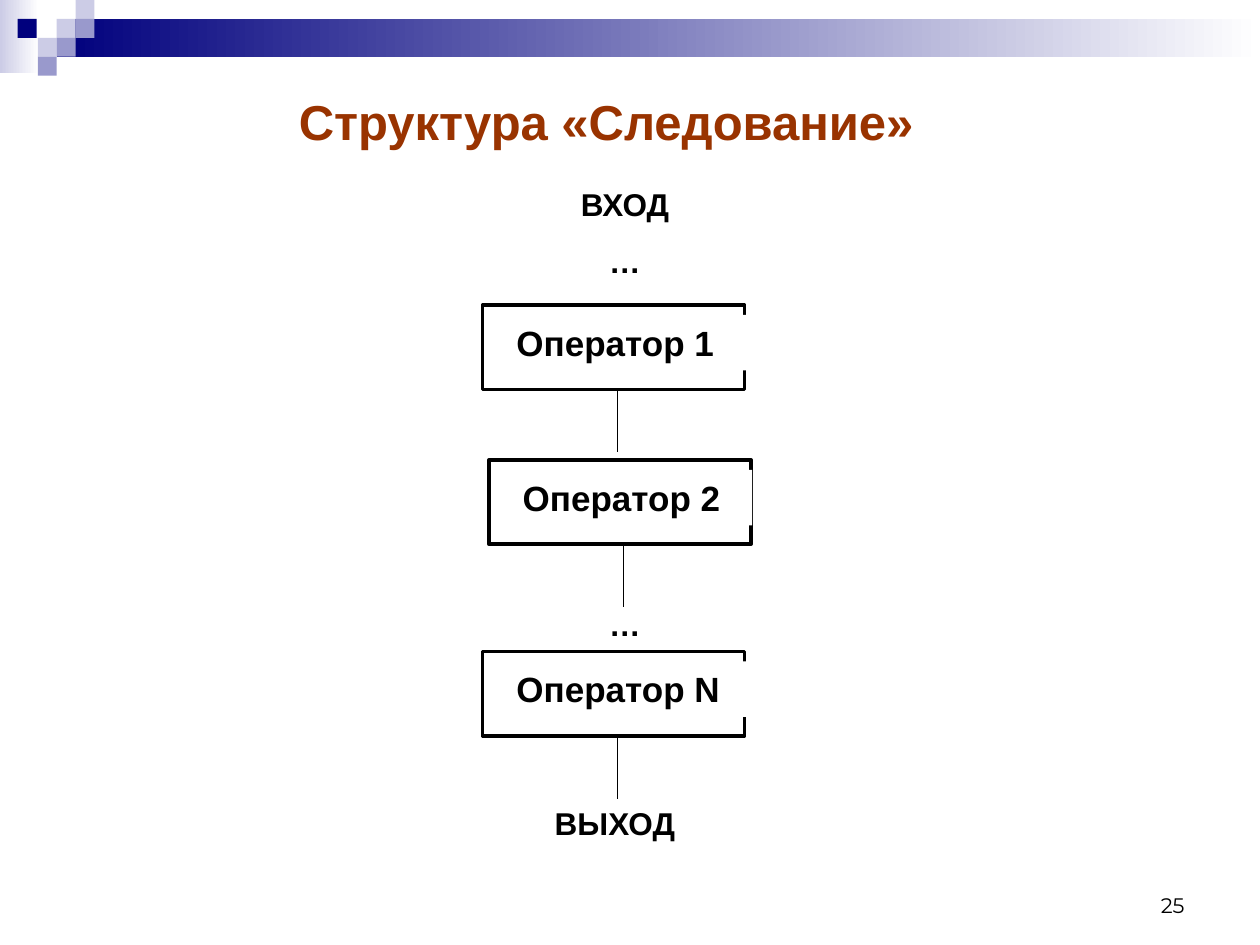
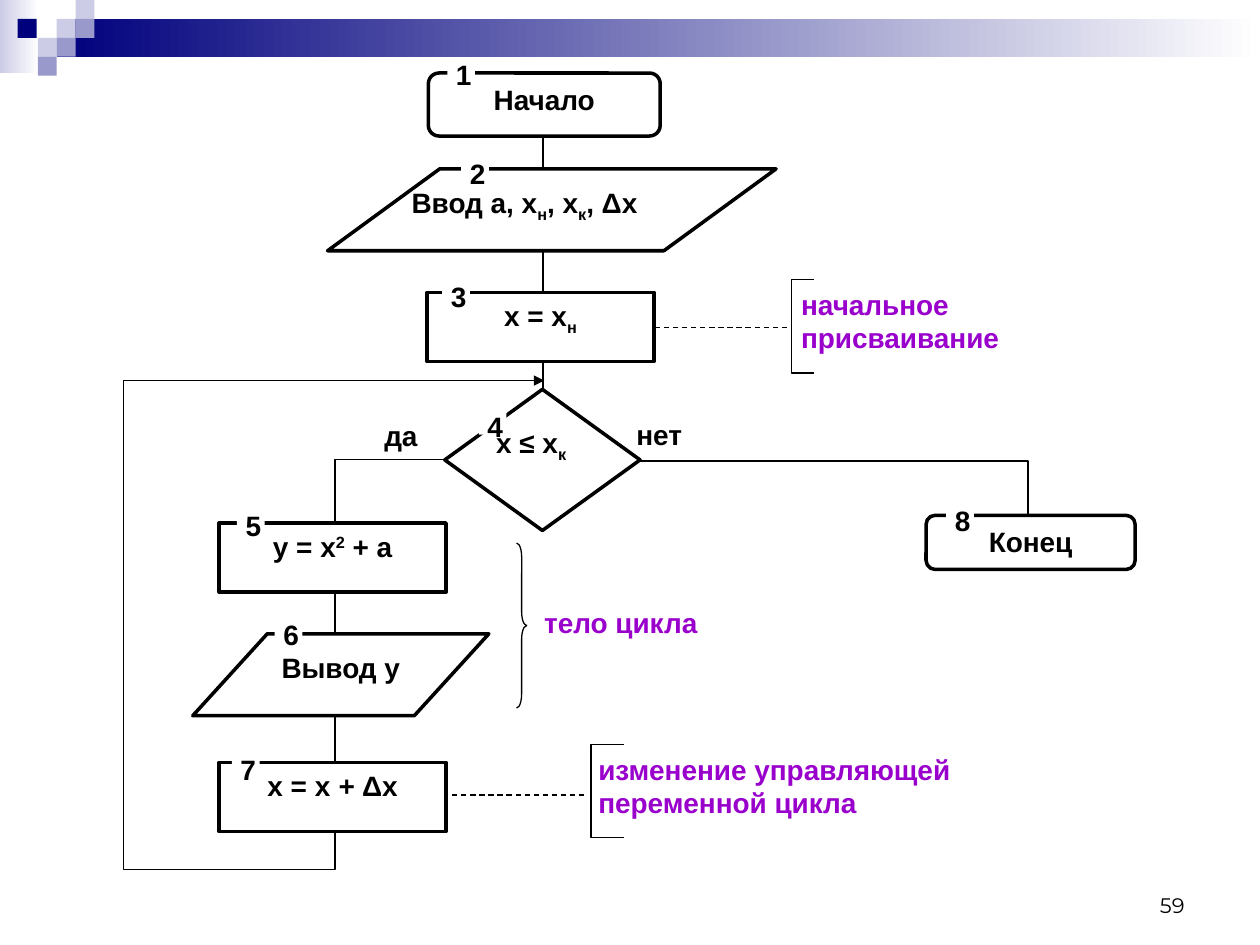
import pptx
import pptx.util
import pptx.dml.color
import pptx.enum.dml
import pptx.enum.shapes
import pptx.enum.text
import pptx.oxml
import pptx.oxml.ns

Inches = pptx.util.Inches
Pt = pptx.util.Pt
Shape = pptx.enum.shapes.MSO_SHAPE
Align = pptx.enum.text.PP_ALIGN
Anchor = pptx.enum.text.MSO_ANCHOR

tints = {
    "ink": "000000", "paper": "FFFFFF", "navy": "00007D", "mid": "9999CC",
    "pale": "CCCCE6", "title": "993300", "note": "9900CC",
}
rgb = {name: pptx.dml.color.RGBColor.from_string(code) for name, code in tints.items()}
wide = (0.1, 0.05, 0.1, 0.05)
slim = (0.02, 0.01, 0.02, 0.01)
flat = (0, 0.01, 0, 0.01)
low = {"baseline": "-25000"}
high = {"baseline": "30000"}


def block(slide, kind, place, lines=(), size=16, tint="ink", align=Align.CENTER,
          inset=wide, fill="paper", edge=False, adjust=None, anchor=Anchor.TOP,
          face="Arial", bold=True, gap=0, after=0):
    spot = [Inches(v) for v in place]
    if kind is None:
        shape = slide.shapes.add_textbox(*spot)
    else:
        shape = slide.shapes.add_shape(kind, *spot)
        shape.shadow.inherit = False
        if fill is None:
            shape.fill.background()
        elif isinstance(fill, tuple):
            shape.fill.gradient()
            shape.fill.gradient_angle = 0
            for stop, name in zip(shape.fill.gradient_stops, fill):
                stop.color.rgb = rgb[name]
        else:
            shape.fill.solid()
            shape.fill.fore_color.rgb = rgb[fill]
        if edge:
            shape.line.color.rgb = rgb["ink"]
            shape.line.width = Pt(edge)
        else:
            shape.line.fill.background()
        for i, value in enumerate(adjust or ()):
            shape.adjustments[i] = value
    if not lines:
        return
    frame = shape.text_frame
    frame.word_wrap = True
    frame.vertical_anchor = anchor
    frame.margin_left, frame.margin_top, frame.margin_right, frame.margin_bottom = map(Inches, inset)
    for i, line in enumerate(lines):
        para = frame.add_paragraph() if i else frame.paragraphs[0]
        for piece in [line] if isinstance(line, str) else line:
            words, marks = (piece, {}) if isinstance(piece, str) else piece
            run = para.add_run()
            run.text = words
            for key, value in marks.items():
                run._r.get_or_add_rPr().set(key, value)
        para.alignment = align
        if i and gap:
            para.space_before = Pt(gap)
        if after:
            para.space_after = Pt(after)
        para.font.name = face
        para.font.size = Pt(size)
        para.font.bold = bold
        para.font.color.rgb = rgb[tint]


def trace(slide, points, dash=False, arrow=False):
    spots = [(Inches(x), Inches(y)) for x, y in points]
    if len(spots) == 2:
        wire = slide.shapes.add_connector(pptx.enum.shapes.MSO_CONNECTOR.STRAIGHT, *spots[0], *spots[1])
        wire._element.spPr.append(pptx.oxml.parse_xml("<a:effectLst %s/>" % pptx.oxml.ns.nsdecls("a")))
    else:
        pen = slide.shapes.build_freeform(*spots[0])
        pen.add_line_segments(spots[1:], close=False)
        wire = pen.convert_to_shape()
        wire.fill.background()
        wire.shadow.inherit = False
    wire.line.color.rgb = rgb["ink"]
    wire.line.width = Pt(0.75)
    if dash:
        wire.line.dash_style = pptx.enum.dml.MSO_LINE.DASH
    if arrow:
        wire.line._get_or_add_ln().append(
            pptx.oxml.parse_xml('<a:tailEnd type="triangle" %s/>' % pptx.oxml.ns.nsdecls("a")))


deck = pptx.Presentation()
deck.slide_width = Inches(10)
deck.slide_height = Inches(7.5)

slides = []
for number in ("25", "59"):
    slide = deck.slides.add_slide(deck.slide_layouts[6])
    slides.append(slide)
    block(slide, Shape.RECTANGLE, (0, 0, 0.31, 0.58), fill=("pale", "paper"))
    block(slide, Shape.RECTANGLE, (0.45, 0.15, 9.55, 0.3), fill=("navy", "paper"))
    for x, y, tint in [(0.45, 0.15, "pale"), (0.6, 0, "pale"), (0.6, 0.15, "mid"),
                       (0.3, 0.3, "pale"), (0.14, 0.15, "navy"), (0.45, 0.3, "mid"),
                       (0.3, 0.45, "mid")]:
        block(slide, Shape.RECTANGLE, (x, y, 0.15, 0.15), fill=tint)
    block(slide, None, (7.17, 6.83, 2.33, 0.5), [number], size=12, align=Align.RIGHT,
          anchor=Anchor.BOTTOM, face="Montserrat", bold=False)

chain, cycle = slides

block(chain, None, (0.92, 0.5, 7.78, 0.92), ["Структура «Следование»"], size=28,
      tint="title", anchor=Anchor.MIDDLE)
block(chain, None, (4.42, 1.42, 1.08, 0.86), ["ВХОД", "…"], size=18, gap=11.2)
for x, y, name in [(3.83, 2.42, "1"), (3.88, 3.65, "2"), (3.83, 5.17, "N")]:
    block(chain, Shape.RECTANGLE, (x, y, 2.08, 0.67), edge=2)
    block(chain, Shape.RECTANGLE, (x + 0.17, y + 0.08, 1.92, 0.44), ["Оператор " + name],
          size=20, align=Align.LEFT)
    trace(chain, [(x + 1.07, y + 0.67), (x + 1.07, y + 1.17)])
block(chain, None, (4.67, 4.75, 0.58, 0.4), ["…"], size=18)
block(chain, None, (4.17, 6.33, 1.42, 0.4), ["ВЫХОД"], size=18)

trace(cycle, [(2.66, 6.5), (2.66, 6.9), (0.98, 6.9), (0.98, 3.02), (4.32, 3.02)], arrow=True)
for x, top, end in [(4.31, 1.08, 1.34), (4.31, 1.99, 2.32), (4.31, 2.87, 3.09),
                    (2.66, 4.7, 5.03), (2.66, 5.68, 6.05)]:
    trace(cycle, [(x, top), (x, end)])
trace(cycle, [(3.53, 3.65), (2.66, 3.65), (2.66, 4.15)])
trace(cycle, [(5.08, 3.66), (8.16, 3.66), (8.16, 4.09)])
block(cycle, None, (3.03, 3.31, 0.69, 0.44), ["да"], align=Align.LEFT, inset=slim)
block(cycle, None, (5.03, 3.3, 0.81, 0.51), ["нет"], align=Align.LEFT, inset=slim)

steps = [
    (Shape.ROUNDED_RECTANGLE, (3.4, 0.58, 1.84, 0.5), ["Начало"], Align.CENTER, wide, [0.17]),
    (Shape.PARALLELOGRAM, (2.6, 1.34, 3.56, 0.65),
     ["Ввод a, x", ("н", low), ", х", ("к", low), ", Δх"], Align.LEFT, flat, [1.37]),
    (Shape.RECTANGLE, (3.39, 2.32, 1.8, 0.55), ["х = х", ("н", low)], Align.CENTER, wide, None),
    (Shape.FLOWCHART_DECISION, (3.53, 3.09, 1.55, 1.12), ["x ≤ х", ("к", low)], Align.LEFT, slim, None),
    (Shape.RECTANGLE, (1.74, 4.15, 1.8, 0.55), ["у = х", ("2", high), " + а"], Align.CENTER, wide, None),
    (Shape.PARALLELOGRAM, (1.53, 5.03, 2.35, 0.65), ["Вывод у"], Align.CENTER, flat, [0.91]),
    (Shape.RECTANGLE, (1.74, 6.05, 1.8, 0.55),
     ["х = х ", ("+ ", {"i": "1"}), "Δх"], Align.CENTER, wide, None),
    (Shape.ROUNDED_RECTANGLE, (7.35, 4.09, 1.66, 0.43), ["Конец"], Align.CENTER, wide, [0.17]),
]
for kind, place, line, align, inset, adjust in steps:
    block(cycle, kind, place, [line], align=align, inset=inset, edge=2, adjust=adjust)

for x, y, lip in [(6.28, 2.22, 0.18), (4.69, 5.91, 0.26)]:
    trace(cycle, [(x + lip, y), (x, y), (x, y + 0.74), (x + lip, y + 0.74)])
for x, y in [(5.2, 2.6), (3.59, 6.31)]:
    trace(cycle, [(x, y), (x + 1.07, y)], dash=True)
block(cycle, Shape.RIGHT_BRACE, (4.1, 4.31, 0.08, 1.31), fill=None, edge=0.75, adjust=[1.37, 0.5])
for place, note, after in [((6.26, 2.23, 2.37, 0.83), "начальное присваивание", 6),
                           ((4.65, 5.92, 3.5, 0.83), "изменение управляющей переменной цикла", 6),
                           ((4.22, 4.76, 2.65, 0.46), "тело цикла", 0)]:
    block(cycle, None, place, [note], tint="note", align=Align.LEFT, after=after)

tags = [(3.55, 0.46), (3.66, 1.24), (3.51, 2.22), (3.8, 3.25),
        (1.88, 4.04), (2.18, 4.9), (1.84, 5.97), (7.51, 4)]
for count, (x, y) in enumerate(tags, 1):
    block(cycle, Shape.RECTANGLE, (x, y, 0.22, 0.2), [str(count)], inset=(0.04, 0, 0, 0))

deck.save("out.pptx")
